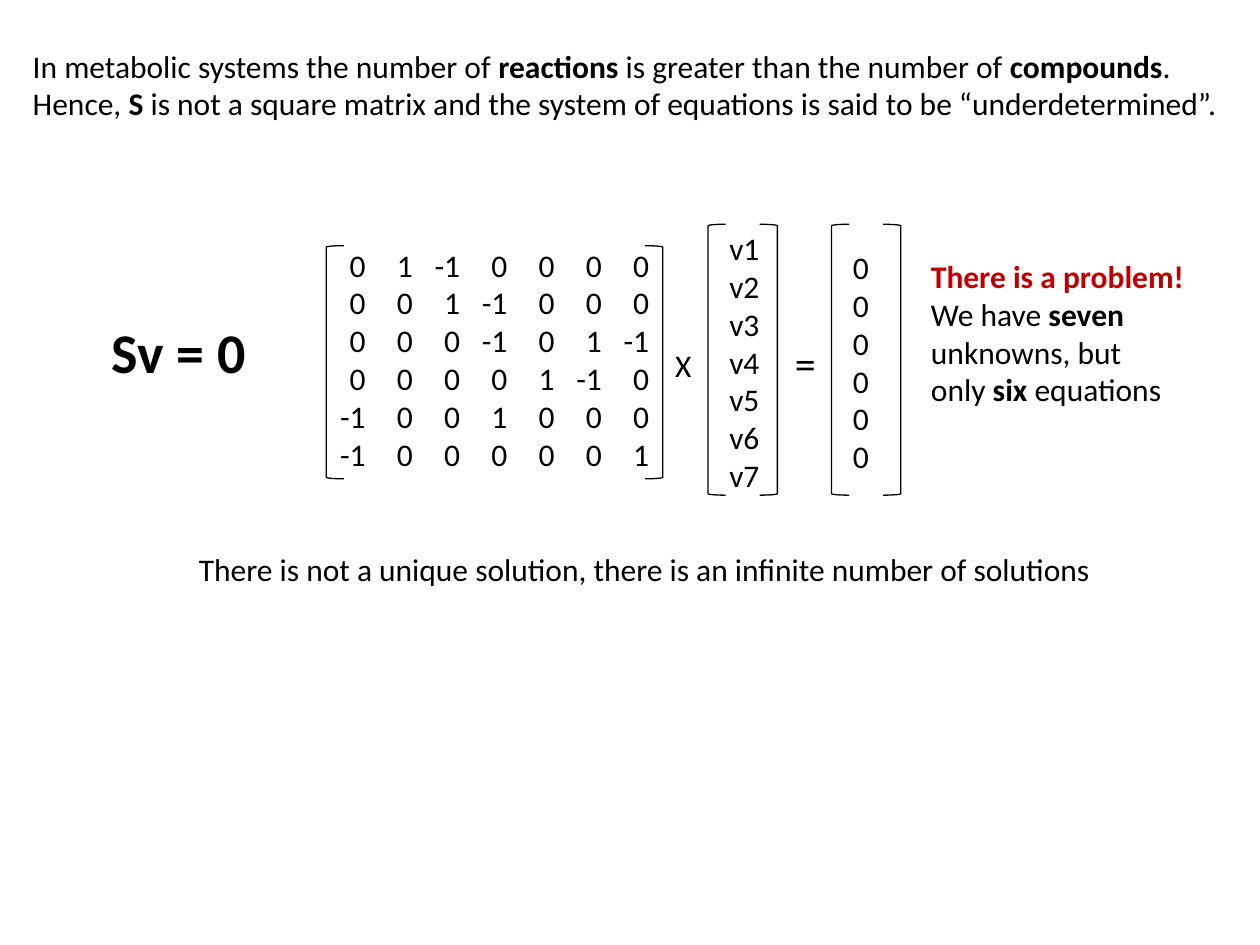
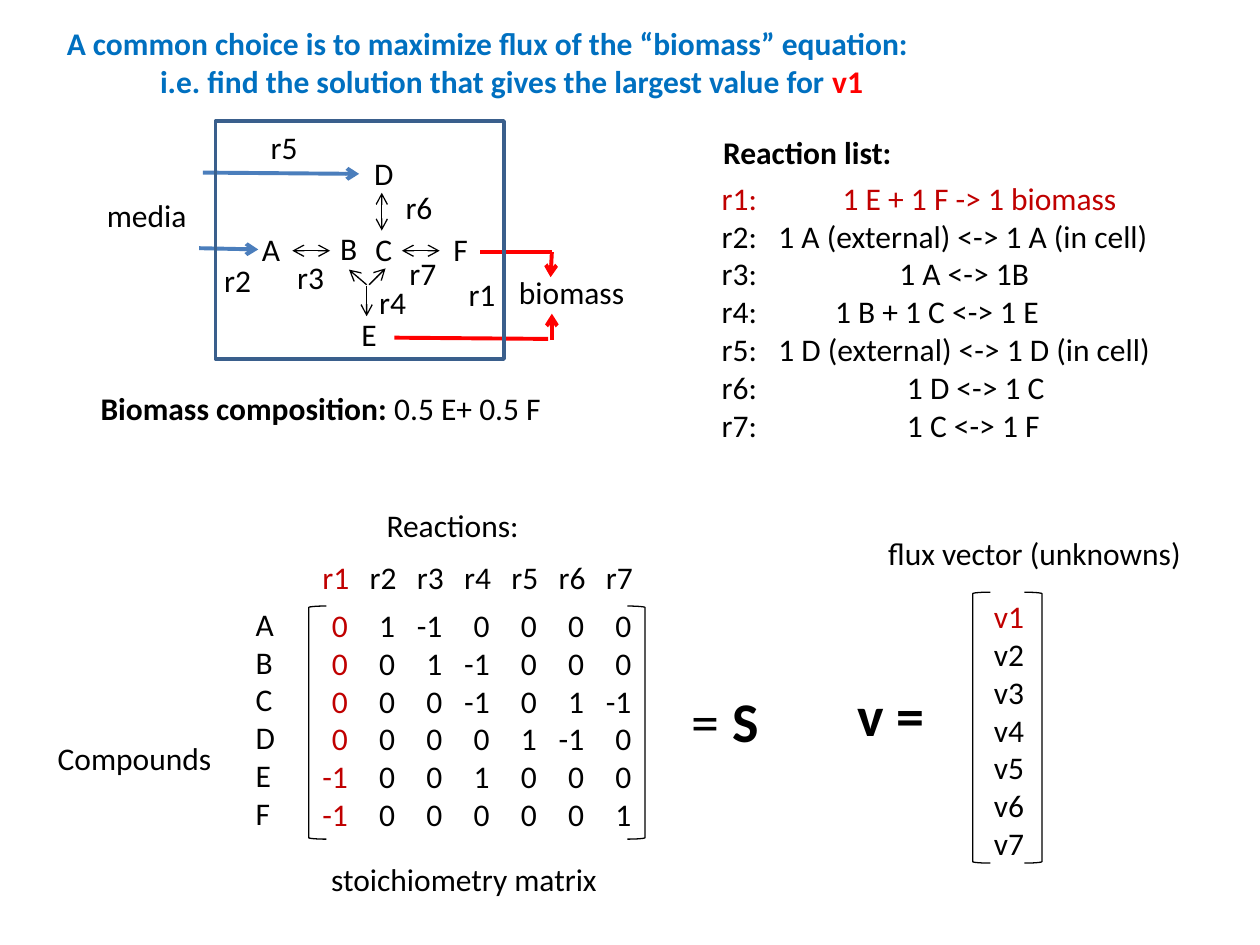
from dataclasses import dataclass
from typing import NamedTuple

from lxml.etree import SubElement
from pptx import Presentation
from pptx.dml.color import RGBColor
from pptx.enum.shapes import MSO_CONNECTOR, MSO_SHAPE
from pptx.enum.text import MSO_ANCHOR, MSO_AUTO_SIZE, PP_ALIGN
from pptx.oxml.ns import qn
from pptx.shapes.autoshape import Shape
from pptx.slide import Slide
from pptx.text.text import TextFrame
from pptx.util import Inches, Pt


@dataclass(frozen=True)
class Theme:
    font: str = "Calibri"
    ink: str = "000000"
    alert: str = "C00000"
    title: str = "0070C0"
    goal: str = "FF0000"
    media: str = "4B7EBC"
    cell: str = "3A5F8C"
    body: int = 18
    sign: int = 24
    big: int = 32
    thin: float = 0.75
    thick: float = 2.25
    frame: float = 2


THEME = Theme()
TITLE_ONLY = 5
PITCH = 0.375
STOICH = (
    (0, 1, -1, 0, 0, 0, 0),
    (0, 0, 1, -1, 0, 0, 0),
    (0, 0, 0, -1, 0, 1, -1),
    (0, 0, 0, 0, 1, -1, 0),
    (-1, 0, 0, 1, 0, 0, 0),
    (-1, 0, 0, 0, 0, 0, 1),
)
COUNT = len(STOICH[0])
FLUXES = [f"v{n}" for n in range(1, COUNT + 1)]


class Run(NamedTuple):
    text: str
    bold: bool = False
    color: str = THEME.ink


class Para(NamedTuple):
    runs: tuple[Run, ...]
    indent: float = 0
    tabs: tuple[float, ...] = ()


class Area(NamedTuple):
    left: float
    top: float
    width: float
    height: float


class Label(NamedTuple):
    text: str
    left: float
    top: float
    width: float = 0.42


class Arrow(NamedTuple):
    start: tuple[float, float]
    end: tuple[float, float]
    color: str = THEME.ink
    width: float = THEME.thin
    head: bool = False
    tail: bool = False


class Reaction(NamedTuple):
    text: str
    tab: float


def lines(texts: list[str], color: str = THEME.ink) -> list[Para]:
    return [Para((Run(text, color=color),)) for text in texts]


def write(frame: TextFrame, paras: list[Para], size: int,
          align: PP_ALIGN = PP_ALIGN.LEFT) -> None:
    for index, para in enumerate(paras):
        line = frame.add_paragraph() if index else frame.paragraphs[0]
        line.alignment = align
        props = line._p.get_or_add_pPr()
        if para.indent:
            props.set("marL", str(Inches(para.indent)))
        if para.tabs:
            stops = SubElement(props, qn("a:tabLst"))
            for stop in para.tabs:
                SubElement(stops, qn("a:tab"), pos=str(Inches(stop)), algn="l")
        for part in para.runs:
            run = line.add_run()
            run.text = part.text
            run.font.name, run.font.size = THEME.font, Pt(size)
            run.font.bold = part.bold
            run.font.color.rgb = RGBColor.from_string(part.color)


def add_text(slide: Slide, area: Area, paras: list[Para], size: int = THEME.body,
             wrap: bool = False, align: PP_ALIGN = PP_ALIGN.LEFT) -> None:
    box = slide.shapes.add_textbox(*map(Inches, area))
    box.text_frame.word_wrap = wrap
    write(box.text_frame, paras, size, align)


def add_labels(slide: Slide, labels: list[Label]) -> None:
    for label in labels:
        add_text(slide, Area(label.left, label.top, label.width, 0.4), lines([label.text]))


def add_title(slide: Slide, area: Area, paras: list[Para]) -> None:
    title = slide.shapes.title
    title.left, title.top, title.width, title.height = map(Inches, area)
    frame = title.text_frame
    frame.auto_size, frame.word_wrap = MSO_AUTO_SIZE.NONE, True
    frame.vertical_anchor = MSO_ANCHOR.TOP
    write(frame, paras, THEME.body)


def add_outline(slide: Slide, kind: MSO_SHAPE, area: Area, color: str, width: float) -> Shape:
    shape = slide.shapes.add_shape(kind, *map(Inches, area))
    shape.shadow.inherit = False
    shape.fill.background()
    shape.line.color.rgb = RGBColor.from_string(color)
    shape.line.width = Pt(width)
    return shape


def add_brackets(slide: Slide, area: Area) -> None:
    arm = 0.14
    right = area._replace(left=area.left + area.width - arm, width=arm)
    for kind, side in ((MSO_SHAPE.LEFT_BRACKET, area._replace(width=arm)),
                       (MSO_SHAPE.RIGHT_BRACKET, right)):
        add_outline(slide, kind, side, THEME.ink, THEME.thin)


def add_arrow(slide: Slide, arrow: Arrow) -> None:
    link = slide.shapes.add_connector(
        MSO_CONNECTOR.STRAIGHT, *map(Inches, arrow.start + arrow.end))
    link.line.color.rgb = RGBColor.from_string(arrow.color)
    link.line.width = Pt(arrow.width)
    edge = link.line._get_or_add_ln()
    for name, used in (("a:headEnd", arrow.head), ("a:tailEnd", arrow.tail)):
        if used:
            SubElement(edge, qn(name), type="arrow")
    SubElement(link._element.spPr, qn("a:effectLst"))


def add_matrix(slide: Slide, left: float, top: float, first: str = THEME.ink) -> None:
    """Draw the stoichiometry matrix; first is the colour of column r1."""
    add_brackets(slide, Area(left, top, 2.67, 1.85))
    for index, column in enumerate(zip(*STOICH)):
        area = Area(left - 0.09 + index * PITCH, top - 0.05, 0.5, 1.92)
        color = THEME.ink if index else first
        add_text(slide, area, lines([str(value) for value in column], color),
                 wrap=True, align=PP_ALIGN.RIGHT)


def add_vector(slide: Slide, left: float, top: float, paras: list[Para],
               drop: float = 0) -> None:
    add_brackets(slide, Area(left, top, 0.55, 2.15))
    add_text(slide, Area(left + 0.07, top - 0.01 + drop, 0.44, 2.22), paras)


def build_problem(slide: Slide) -> None:
    add_title(slide, Area(0.16, 0.32, 9.68, 0.71), [
        Para((Run("In metabolic systems the number of "), Run("reactions", True),
              Run(" is greater than the number of "), Run("compounds", True), Run("."))),
        Para((Run("Hence, "), Run("S", True),
              Run(" is not a square matrix and the system of equations "
                  "is said to be “underdetermined”."))),
    ])
    add_text(slide, Area(0.79, 2.47, 1.28, 0.64), [Para((Run("Sv = 0", True),))], THEME.big)
    add_matrix(slide, 2.59, 1.95)
    add_vector(slide, 5.62, 1.78, lines(FLUXES))
    add_vector(slide, 6.6, 1.78, lines(["0"] * len(STOICH)), drop=0.15)
    add_text(slide, Area(6.21, 2.63, 0.37, 0.5), lines(["="]), THEME.sign)
    add_labels(slide, [
        Label("X", 5.26, 2.7, 0.33),
        Label("There is not a unique solution, there is an infinite number of solutions",
              1.48, 4.32, 7.37),
    ])
    add_text(slide, Area(7.29, 1.99, 2.32, 1.31), [
        Para((Run("There is a problem!", True, THEME.alert),)),
        Para((Run("We have "), Run("seven", True), Run(" unknowns, but"))),
        Para((Run("only "), Run("six", True), Run(" equations"))),
    ], wrap=True)


def draw_network(slide: Slide) -> None:
    media = (THEME.media, THEME.thick)
    goal = (THEME.goal, THEME.thick)
    for arrow in (
        Arrow((2.32, 1.99), (2.62, 1.99), head=True, tail=True),
        Arrow((3.03, 1.83), (3.03, 1.53), head=True, tail=True),
        Arrow((3.19, 1.99), (3.49, 1.99), head=True, tail=True),
        Arrow((2.77, 2.14), (2.91, 2.26), head=True),
        Arrow((3.06, 2.13), (2.93, 2.26), head=True),
        Arrow((2.91, 2.27), (2.91, 2.51), tail=True),
        Arrow((1.58, 1.97), (2.05, 1.98), *media, tail=True),
        Arrow((1.61, 1.37), (2.85, 1.38), *media, tail=True),
        Arrow((3.81, 2), (4.38, 2), *goal),
        Arrow((3.13, 2.68), (4.35, 2.69), *goal),
        Arrow((4.38, 2), (4.37, 2.2), *goal, tail=True),
        Arrow((4.38, 2.7), (4.38, 2.49), *goal, tail=True),
    ):
        add_arrow(slide, arrow)
    add_labels(slide, [
        Label("A", 1.98, 1.78), Label("B", 2.6, 1.77), Label("C", 2.88, 1.78),
        Label("D", 2.87, 1.17), Label("E", 2.77, 2.45), Label("F", 3.5, 1.78),
        Label("r1", 3.62, 2.13), Label("r2", 1.68, 2.02), Label("r3", 2.26, 2),
        Label("r4", 2.91, 2.2), Label("r5", 2.05, 0.97), Label("r6", 3.12, 1.44),
        Label("r7", 3.15, 1.97),
        Label("biomass", 4.02, 2.12, 1.05), Label("media", 0.75, 1.51, 0.84),
    ])
    add_outline(slide, MSO_SHAPE.RECTANGLE, Area(1.71, 0.96, 2.29, 1.89),
                THEME.cell, THEME.frame)
    add_text(slide, Area(0.7, 3.04, 3.73, 0.4),
             [Para((Run("Biomass composition: ", True), Run("0.5 E+ 0.5 F")))])


def list_reactions(slide: Slide) -> None:
    reactions = (
        Reaction("1 E + 1 F -> 1 biomass", 0.96),
        Reaction("1 A (external) <-> 1 A (in cell)", 0.45),
        Reaction("1 A <-> 1B", 1.41),
        Reaction("1 B + 1 C <-> 1 E", 0.9),
        Reaction("1 D (external) <-> 1 D (in cell)", 0.45),
        Reaction("1 D <-> 1 C", 1.47),
        Reaction("1 C <-> 1 F", 1.47),
    )
    paras = [
        Para((Run(f"r{n}:\t{item.text}", color=THEME.alert if n == 1 else THEME.ink),),
             tabs=(item.tab,))
        for n, item in enumerate(reactions, 1)
    ]
    add_text(slide, Area(5.64, 1.01, 1.55, 0.4), [Para((Run("Reaction list:", True),))])
    add_text(slide, Area(5.63, 1.37, 3.9, 2.22), paras, wrap=True)


def build_goal(slide: Slide) -> None:
    add_title(slide, Area(0.43, 0.14, 7.8, 0.71), [
        Para((Run("A common choice is to maximize flux of the “biomass” equation:",
                  True, THEME.title),)),
        Para((Run("i.e. find the solution that gives the largest value for ",
                  True, THEME.title), Run("v1", True, THEME.goal)), indent=0.74),
    ])
    draw_network(slide)
    list_reactions(slide)

    add_matrix(slide, 2.45, 4.81, THEME.alert)
    rest = "".join(f"\tr{n}" for n in range(2, COUNT + 1))
    stops = tuple(n * PITCH for n in range(1, COUNT))
    add_text(slide, Area(2.46, 4.38, 2.8, 0.4),
             [Para((Run("r1", color=THEME.alert), Run(rest)), tabs=stops)], wrap=True)
    add_text(slide, Area(1.93, 4.75, 0.36, 1.92), lines(list("ABCDEF")))
    add_labels(slide, [
        Label("Reactions:", 2.97, 3.97, 1.26),
        Label("Compounds", 0.36, 5.82, 1.44),
        Label("stoichiometry matrix", 2.53, 6.78, 2.47),
        Label("flux vector (unknowns)", 6.95, 4.19, 2.55),
    ])
    add_text(slide, Area(5.39, 5.4, 0.74, 0.64),
             [Para((Run("= "), Run("S", True)))], THEME.big)
    add_text(slide, Area(6.71, 5.35, 0.74, 0.64), [Para((Run("v =", True),))], THEME.big)
    add_vector(slide, 7.72, 4.7, lines(FLUXES[:1], THEME.alert) + lines(FLUXES[1:]))


def main() -> None:
    deck = Presentation()
    deck.slide_width, deck.slide_height = Inches(10), Inches(7.5)
    for build in (build_problem, build_goal):
        build(deck.slides.add_slide(deck.slide_layouts[TITLE_ONLY]))
    deck.save("out.pptx")


if __name__ == "__main__":
    main()
